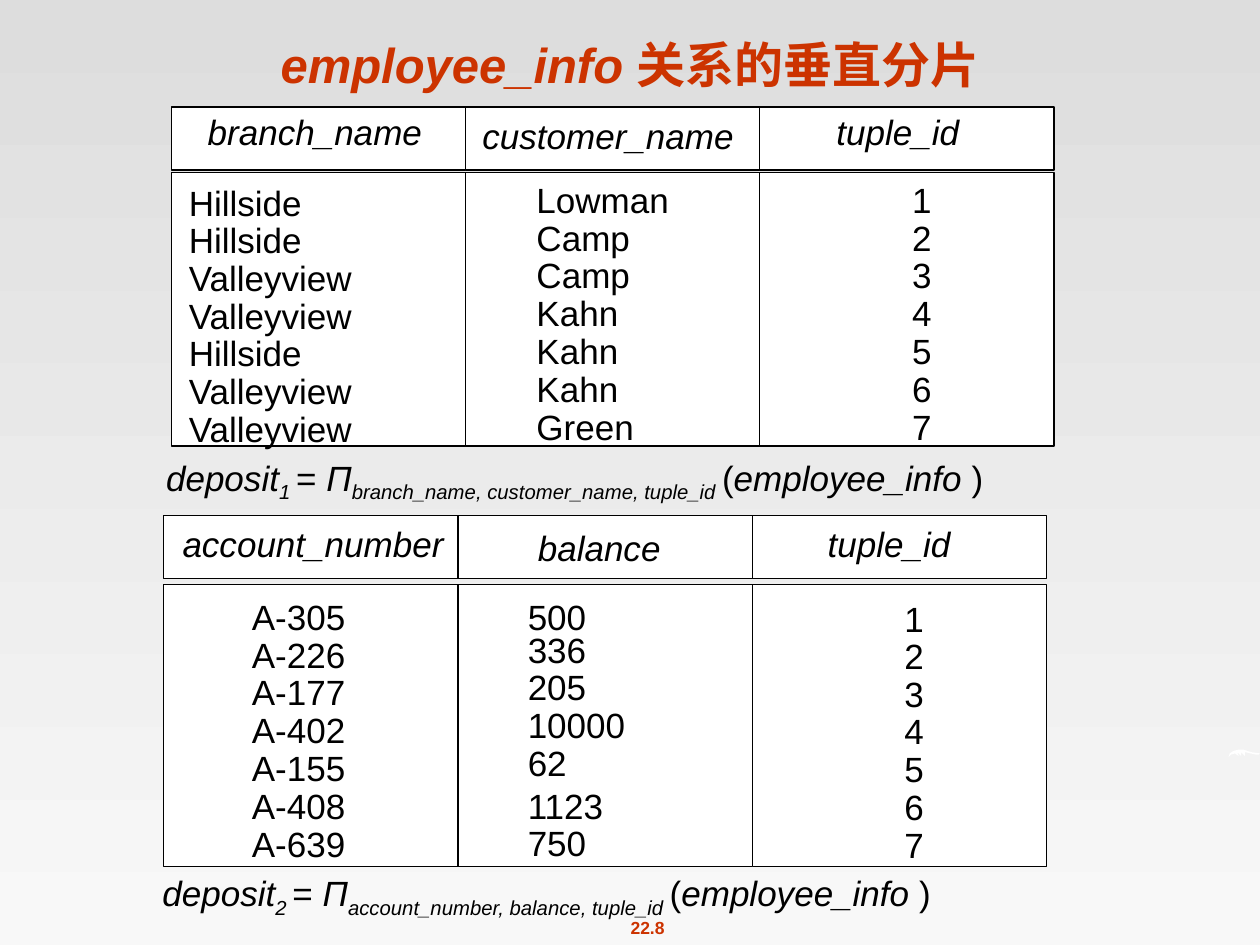
from pptx import Presentation
from pptx.dml.color import RGBColor
from pptx.enum.shapes import MSO_SHAPE
from pptx.enum.text import MSO_ANCHOR, MSO_AUTO_SIZE, PP_ALIGN
from pptx.util import Inches, Pt

COLORS = {"accent": "CC3300", "text": "000000", "cell": "FFFFFF",
          "bg_top": "DDDDDD", "bg_bottom": "F8F8F8"}
RGB = {name: RGBColor.from_string(value) for name, value in COLORS.items()}

prs = Presentation()
prs.slide_width, prs.slide_height = Inches(10), Inches(7.5)
s = prs.slides.add_slide(prs.slide_layouts[5])
fill = s.background.fill
fill.gradient()
fill.gradient_angle = 270
for stop, name, position in zip(fill.gradient_stops, ("bg_top", "bg_bottom"), (0, 1)):
    stop.color.rgb = RGB[name]
    stop.position = position


def add_run(p, text, size=20, color="text", bold=False, italic=False, sub=False):
    r = p.add_run()
    r.text = text
    r.font.name = "Arial"
    r.font.size = Pt(size)
    r.font.bold = bold
    r.font.italic = italic
    r.font.color.rgb = RGB[color]
    if sub:
        r._r.get_or_add_rPr().set("baseline", "-25000")


def add_box(x, y, w, h, wrap=False):
    sp = s.shapes.add_textbox(Inches(x), Inches(y), Inches(w), Inches(h))
    tf = sp.text_frame
    tf.word_wrap = wrap
    tf.auto_size = MSO_AUTO_SIZE.SHAPE_TO_FIT_TEXT
    return tf


p = add_box(4.61, 7.23, 1.06, 0.27).paragraphs[0]
p.alignment = PP_ALIGN.CENTER
add_run(p, "22.8", size=10, color="accent", bold=True)

curl = [(9.75, 6.01), (9.76, 5.98), (9.79, 5.96), (9.83, 5.95), (9.87, 5.95),
        (9.93, 5.97), (10, 5.98), (9.99, 5.99), (9.97, 5.99), (9.88, 5.97),
        (9.88, 6), (9.85, 5.97), (9.85, 6), (9.82, 5.97), (9.83, 6),
        (9.8, 5.98), (9.77, 5.99)]
points = [(Inches(x), Inches(y)) for x, y in curl]
builder = s.shapes.build_freeform(*points[0])
builder.add_line_segments(points[1:], close=True)
sp = builder.convert_to_shape()
sp.shadow.inherit = False
sp.fill.solid()
sp.fill.fore_color.rgb = RGB["cell"]
sp.line.fill.background()

title = s.shapes.title
title.left, title.top, title.width, title.height = 0, 0, Inches(10), Inches(0.8)
tf = title.text_frame
tf.vertical_anchor = MSO_ANCHOR.BOTTOM
p = tf.paragraphs[0]
p.alignment = PP_ALIGN.CENTER
p.line_spacing = 0.9
add_run(p, "employee_info ", size=28, color="accent", bold=True, italic=True)
add_run(p, "关系的垂直分片", size=28, color="accent", bold=True)

COL_W, HEAD_H = 4.67 / 2, 0.5
even = [None] + [0.9] * 6
uneven = [1.1, 0.8, 0.9, 0.9, 0.9, None, 0.9]
ids = "1 2 3 4 5 6 7"
fragments = [
    {"left": 1.36, "head": 0.85, "body": 1.37, "body_h": 2.17, "columns": [
        ("branch_name", (1.55, 0.83, 1.95), (1.4, 1.39, 1.55), even,
         "Hillside Hillside Valleyview Valleyview Hillside Valleyview Valleyview"),
        ("customer_name", (3.73, 0.86, 2.25), (4.16, 1.37, 1.3), even,
         "Lowman Camp Camp Kahn Kahn Kahn Green"),
        ("tuple_id", (6.54, 0.83, 1.22), (7.14, 1.37, 0.4), even, ids)],
     "formula": (1.22, 3.57, 7.96), "number": "1"},
    {"left": 1.3, "head": 4.09, "body": 4.64, "body_h": 2.24, "columns": [
        ("account_number", (1.35, 4.1, 2.32), (1.9, 4.68, 1), even,
         "A-305 A-226 A-177 A-402 A-155 A-408 A-639"),
        ("balance", (4.17, 4.13, 1.22), (4.09, 4.64, 1.02), uneven,
         "500 336 205 10000 62 1123 750"),
        ("tuple_id", (6.47, 4.1, 1.22), (7.08, 4.69, 0.4), even, ids)],
     "formula": (1.19, 6.87, 7.35), "number": "2"},
]

for fragment in fragments:
    for i in range(len(fragment["columns"])):
        x = fragment["left"] + i * COL_W
        for y, h in ((fragment["head"], HEAD_H), (fragment["body"], fragment["body_h"])):
            sp = s.shapes.add_shape(MSO_SHAPE.RECTANGLE, Inches(x), Inches(y),
                                    Inches(COL_W), Inches(h))
            sp.shadow.inherit = False
            sp.fill.solid()
            sp.fill.fore_color.rgb = RGB["cell"]
            sp.line.color.rgb = RGB["text"]
            sp.line.width = Pt(0.75)

    for name, head_at, body_at, spacings, values in fragment["columns"]:
        add_run(add_box(*head_at, 0.44).paragraphs[0], name, italic=True)
        tf = add_box(*body_at, 2.24)
        for row, (value, spacing) in enumerate(zip(values.split(), spacings)):
            p = tf.add_paragraph() if row else tf.paragraphs[0]
            p.line_spacing = spacing
            add_run(p, value)

    p = add_box(*fragment["formula"], 0.48, wrap=True).paragraphs[0]
    names = ", ".join(column[0] for column in fragment["columns"])
    for text, italic, sub in (
            ("deposit", True, False), (fragment["number"] + " ", True, True),
            ("= ", False, False), ("Π", True, False), (names + " ", True, True),
            ("(", False, False), ("employee_info ", True, False), (")", False, False)):
        add_run(p, text, italic=italic, sub=sub)

prs.save("out.pptx")
